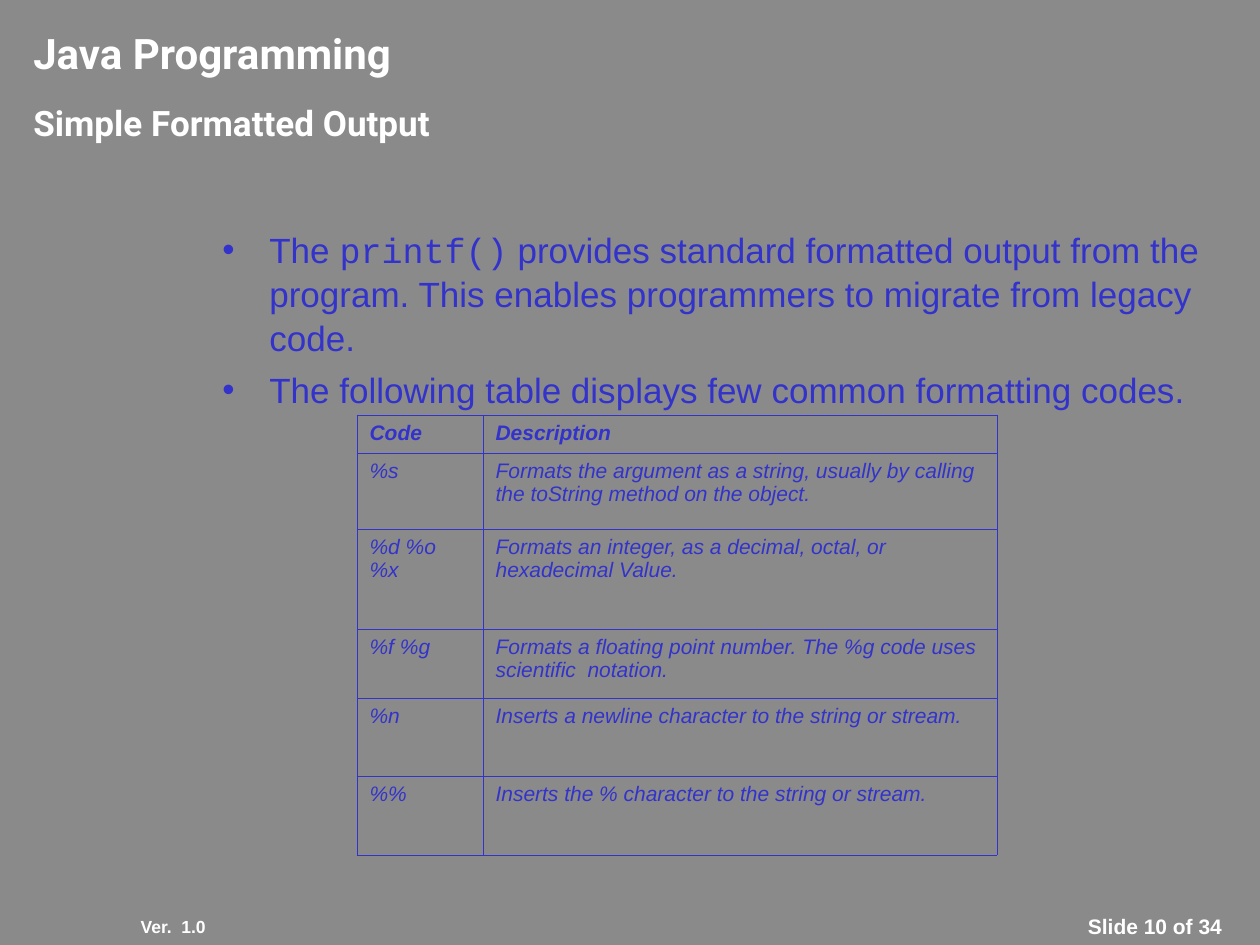
from dataclasses import dataclass

from lxml import etree
from pptx import Presentation
from pptx.dml.color import RGBColor
from pptx.enum.text import PP_ALIGN
from pptx.oxml.ns import qn
from pptx.util import Emu, Pt

LEFT, MID, RIGHT = PP_ALIGN.LEFT, PP_ALIGN.CENTER, PP_ALIGN.RIGHT
SCALE = 914400 / 126


@dataclass(frozen=True)
class Theme:
    back: str = "8A8A8A"
    light: str = "FFFFFF"
    ink: str = "3333CC"
    sans: str = "Arial"
    head: str = "Roboto"
    mono: str = "Courier New"
    title: int = 24
    body: int = 20
    cell: int = 12
    small: int = 10
    edge: float = 0.45


@dataclass(frozen=True)
class Label:
    text: str
    box: tuple[int, int, int, int]
    size: int
    font: str
    align: PP_ALIGN = LEFT


THEME = Theme()
LABELS = [
    Label("Slide 10 of 34", (1050, 907, 210, 63), THEME.cell, THEME.sans, MID),
    Label("Ver.  1.0", (118, 910, 100, 34), THEME.small, THEME.sans, RIGHT),
    Label("Java Programming", (21, 21, 1207, 63), THEME.title, THEME.head),
    Label("Simple Formatted Output", (21, 95, 1103, 55), THEME.body, THEME.head),
]
POINTS = [
    [
        ("The ", THEME.sans),
        ("printf()", THEME.mono),
        (" provides standard formatted output from the program. "
         "This enables programmers to migrate from legacy code.", THEME.sans),
    ],
    [("The following table displays few common formatting codes.", THEME.sans)],
]
CODES = [
    ("Code", "Description"),
    ("%s", "Formats the argument as a string, usually by calling "
           "the toString method on the object."),
    ("%d %o %x", "Formats an integer, as a decimal, octal, or hexadecimal Value."),
    ("%f %g", "Formats a floating point number. The %g code uses "
              "scientific  notation."),
    ("%n", "Inserts a newline character to the string or stream."),
    ("%%", "Inserts the % character to the string or stream."),
]
COLS = [126, 514]
ROWS = [38, 76, 100, 69, 78, 79]


def px(num: int) -> Emu:
    return Emu(round(num * SCALE))


def write(para, text: str, *, size: int, color: str = THEME.ink,
          font: str = THEME.sans, bold: bool = False, italic: bool = False) -> None:
    run = para.add_run()
    run.text = text
    face = run.font
    face.name, face.size = font, Pt(size)
    face.bold, face.italic = bold, italic
    face.color.rgb = RGBColor.from_string(color)


def add_box(slide, box: tuple[int, int, int, int]):
    frame = slide.shapes.add_textbox(*map(px, box)).text_frame
    frame.word_wrap = True
    return frame


def add_label(slide, label: Label) -> None:
    para = add_box(slide, label.box).paragraphs[0]
    para.alignment = label.align
    write(para, label.text, size=label.size, color=THEME.light,
          font=label.font, bold=True)


def set_bullet(para) -> None:
    props = para._p.get_or_add_pPr()
    props.set("marL", str(px(47)))
    props.set("indent", str(-px(47)))
    tint = etree.SubElement(props, qn("a:buClr"))
    etree.SubElement(tint, qn("a:srgbClr"), val=THEME.ink)
    etree.SubElement(props, qn("a:buFont"), typeface=THEME.sans)
    etree.SubElement(props, qn("a:buChar"), char="•")


def add_points(slide) -> None:
    frame = add_box(slide, (210, 221, 1008, 630))
    for num, runs in enumerate(POINTS):
        para = frame.add_paragraph() if num else frame.paragraphs[0]
        set_bullet(para)
        para.line_spacing = 1.04
        if num:
            para.space_before = Pt(5)
        for text, font in runs:
            write(para, text, size=THEME.body, font=font)


def set_edges(cell) -> None:
    """Draw a thin line on all four sides of a cell."""
    props = cell._tc.get_or_add_tcPr()
    for num, side in enumerate(("lnL", "lnR", "lnT", "lnB")):
        line = etree.Element(qn(f"a:{side}"), w=str(Pt(THEME.edge)))
        fill = etree.SubElement(line, qn("a:solidFill"))
        etree.SubElement(fill, qn("a:srgbClr"), val=THEME.ink)
        props.insert(num, line)


def add_codes(slide) -> None:
    box = (357, 415, sum(COLS), sum(ROWS))
    table = slide.shapes.add_table(len(ROWS), len(COLS), *map(px, box)).table
    table.first_row = table.horz_banding = False
    for col, width in zip(table.columns, COLS):
        col.width = px(width)
    for num, (row, height, texts) in enumerate(zip(table.rows, ROWS, CODES)):
        row.height = px(height)
        for cell, text in zip(row.cells, texts):
            cell.fill.background()
            set_edges(cell)
            write(cell.text_frame.paragraphs[0], text, size=THEME.cell,
                  bold=num == 0, italic=True)


def main() -> None:
    deck = Presentation()
    deck.slide_width, deck.slide_height = px(1260), px(945)
    slide = deck.slides.add_slide(deck.slide_layouts[6])
    fill = slide.background.fill
    fill.solid()
    fill.fore_color.rgb = RGBColor.from_string(THEME.back)
    for label in LABELS:
        add_label(slide, label)
    add_points(slide)
    add_codes(slide)
    deck.save("out.pptx")


if __name__ == "__main__":
    main()
